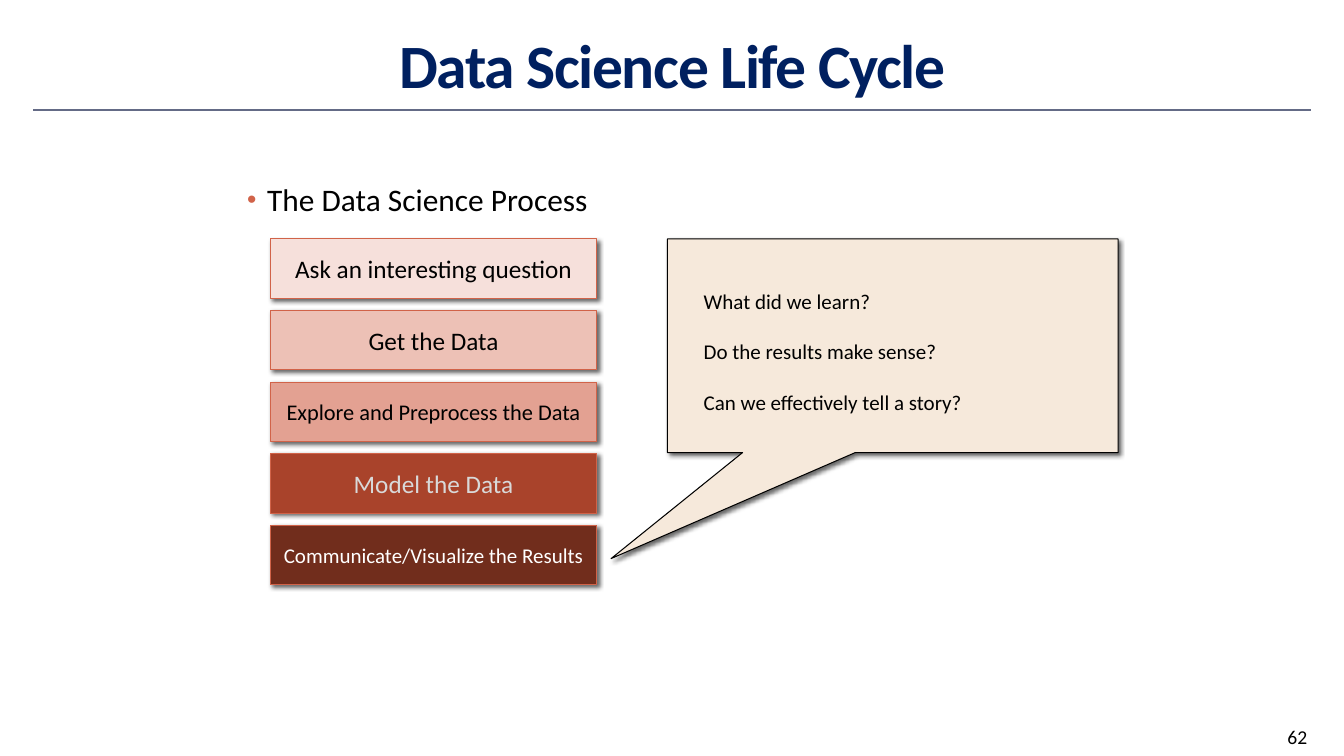
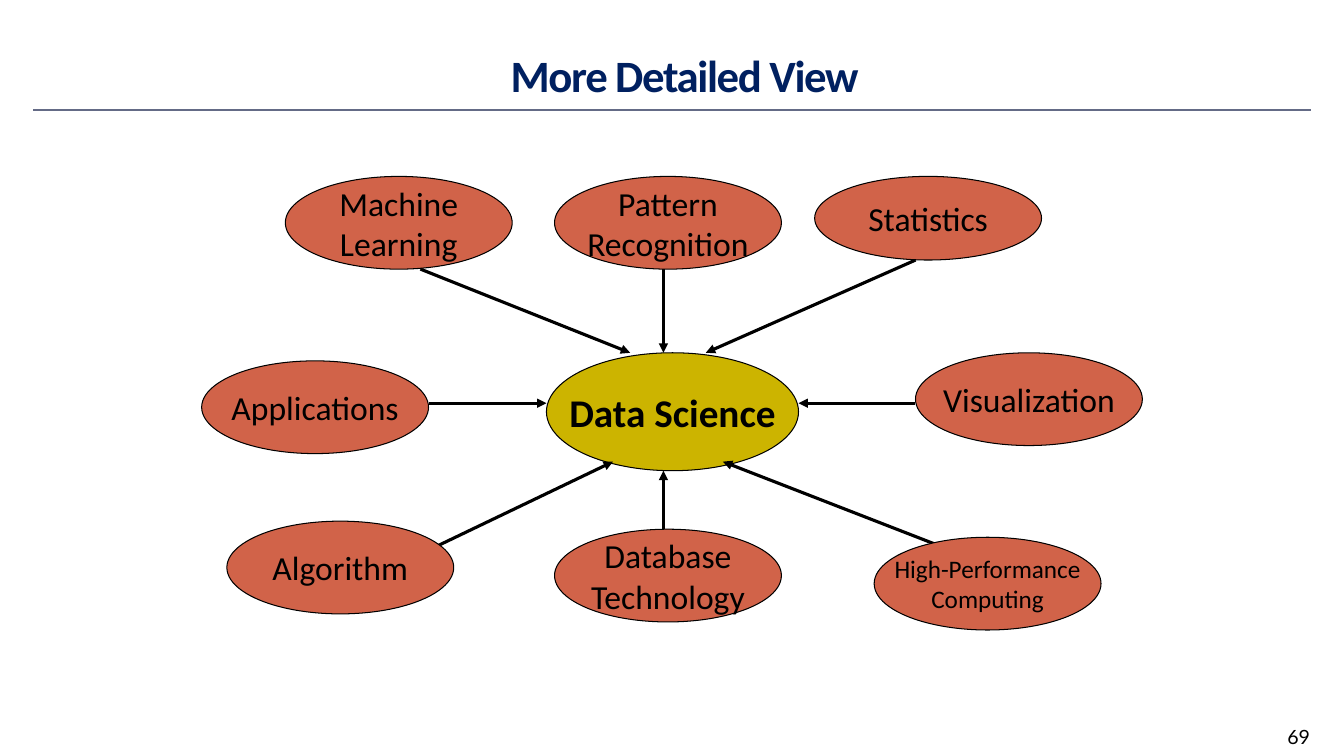
from lxml import etree
from pptx import Presentation
from pptx.dml.color import RGBColor
from pptx.enum import shapes, text
from pptx.oxml import parse_xml
from pptx.oxml.ns import nsdecls, qn
from pptx.util import Inches, Pt

BLACK = RGBColor(0x00, 0x00, 0x00)
WHITE = RGBColor(0xFF, 0xFF, 0xFF)
LIGHT_GRAY = RGBColor(0xD9, 0xD9, 0xD9)
NAVY = RGBColor(0x00, 0x20, 0x60)
SLATE = RGBColor(0x64, 0x6B, 0x86)
CORAL = RGBColor(0xD1, 0x63, 0x49)
OLIVE = RGBColor(0xCC, 0xB4, 0x00)
CREAM = RGBColor(0xF6, 0xE9, 0xDB)
STEP_FILLS = (
    RGBColor(0xF6, 0xE0, 0xDB),
    RGBColor(0xED, 0xC1, 0xB6),
    RGBColor(0xE3, 0xA1, 0x92),
    RGBColor(0xA9, 0x43, 0x2B),
    RGBColor(0x71, 0x2D, 0x1C),
)

TITLE_AND_BODY, TITLE_ONLY = 1, 5
CENTER, LEFT = text.PP_ALIGN.CENTER, text.PP_ALIGN.LEFT
MIDDLE, TOP = text.MSO_ANCHOR.MIDDLE, text.MSO_ANCHOR.TOP
SHAPE = shapes.MSO_SHAPE


class Deck:
    """Holds the shared style and the slide being built."""

    def __init__(self):
        self.presentation = Presentation()
        self.presentation.slide_width = Inches(13.33)
        self.presentation.slide_height = Inches(7.5)
        self.slide = None

    def add_slide(self, layout, title, title_box, title_size, number, number_font="Calibri"):
        slide_layout = self.presentation.slide_layouts[layout]
        self.slide = self.presentation.slides.add_slide(slide_layout)
        self.line((0.33, 1.09), (13, 1.09), SLATE, 1.5)
        placeholder = self.slide.shapes.title
        self.place(placeholder, title_box)
        self.set_text(placeholder.text_frame, [title], title_size, NAVY, bold=True)
        placeholder.text_frame.paragraphs[0].font._element.set("spc", "-100")
        box = self.slide.shapes.add_textbox(
            Inches(12.67), Inches(7.14), Inches(0.67), Inches(0.36))
        self.set_text(box.text_frame, [number], 14, align=LEFT, anchor=TOP, font=number_font)

    def place(self, shape, box):
        shape.left, shape.top, shape.width, shape.height = map(Inches, box)

    def set_text(self, frame, lines, size, color=BLACK, bold=False, align=CENTER,
                 anchor=MIDDLE, font="Calibri", spacing=None, wrap=True):
        frame.text = "\n".join(lines)
        frame.word_wrap = wrap
        frame.auto_size = text.MSO_AUTO_SIZE.NONE
        frame.vertical_anchor = anchor
        for paragraph in frame.paragraphs:
            paragraph.alignment = align
            paragraph.line_spacing = spacing
            paragraph.font.size = Pt(size)
            paragraph.font.name = font
            paragraph.font.bold = bold
            paragraph.font.color.rgb = color

    def bullet(self, label, box, size):
        body = self.slide.placeholders[1]
        self.place(body, box)
        body.text_frame.text = label
        paragraph = body.text_frame.paragraphs[0]
        paragraph.space_before = Pt(0)
        properties = paragraph._p.get_or_add_pPr()
        properties.set("marL", str(Inches(0.2)))
        properties.set("indent", str(Inches(-0.2)))
        color = etree.SubElement(properties, qn("a:buClr"))
        etree.SubElement(color, qn("a:srgbClr"), val=str(CORAL))
        etree.SubElement(properties, qn("a:buSzPct"), val="85000")
        etree.SubElement(properties, qn("a:buChar"), char="•")
        body.text_frame.auto_size = text.MSO_AUTO_SIZE.NONE
        paragraph.font.size = Pt(size)
        paragraph.font.name = "Calibri"
        paragraph.font.color.rgb = BLACK

    def shape(self, kind, box, fill, outline=BLACK, shadow=False):
        shape = self.slide.shapes.add_shape(kind, *map(Inches, box))
        shape.fill.solid()
        shape.fill.fore_color.rgb = fill
        shape.line.color.rgb = outline
        shape.line.width = Pt(0.75)
        shape.shadow.inherit = False
        if shadow:
            shape._element.spPr.find(qn("a:effectLst")).append(parse_xml(
                f'<a:outerShdw {nsdecls("a")} blurRad="{Pt(3)}" dist="{Pt(2)}" dir="2700000">'
                '<a:srgbClr val="000000"><a:alpha val="60000"/></a:srgbClr></a:outerShdw>'))
        return shape

    def step(self, label, box, fill, size, color):
        shape = self.shape(SHAPE.RECTANGLE, box, fill, CORAL, shadow=True)
        self.set_text(shape.text_frame, [label], size, color, wrap=False)

    def callout(self, lines, box, tip):
        """Draw a callout; tip is the offset from its centre, as shares of its size."""
        shape = self.shape(SHAPE.RECTANGULAR_CALLOUT, box, CREAM, shadow=True)
        shape.adjustments[0], shape.adjustments[1] = tip
        self.set_text(shape.text_frame, lines, 15, align=LEFT, anchor=TOP, spacing=2.0)
        shape.text_frame.margin_left = Inches(0.36)
        shape.text_frame.margin_top = Inches(0.24)

    def ellipse(self, lines, box, fill=CORAL, size=24, bold=False):
        shape = self.shape(SHAPE.OVAL, box, fill)
        self.set_text(shape.text_frame, lines, size, bold=bold, wrap=False)

    def line(self, start, end, color, width):
        connector = self.slide.shapes.add_connector(
            shapes.MSO_CONNECTOR.STRAIGHT, *map(Inches, start + end))
        connector.line.color.rgb = color
        connector.line.width = Pt(width)
        etree.SubElement(connector._element.spPr, qn("a:effectLst"))
        return connector

    def arrow(self, start, end):
        connector = self.line(start, end, BLACK, 2.25)
        outline = connector._element.spPr.find(qn("a:ln"))
        etree.SubElement(outline, qn("a:tailEnd"), type="triangle")


def add_life_cycle(deck):
    deck.add_slide(TITLE_AND_BODY, "Data Science Life Cycle", (0.67, 0.17, 12, 0.92), 44, "62")
    deck.bullet("The Data Science Process", (2.35, 1.74, 3.91, 0.51), 22.4)
    steps = (
        ("Ask an interesting question", 18, BLACK),
        ("Get the Data", 18, BLACK),
        ("Explore and Preprocess the Data", 16, BLACK),
        ("Model the Data", 18, LIGHT_GRAY),
        ("Communicate/Visualize the Results", 15, WHITE),
    )
    for row, ((label, size, color), fill) in enumerate(zip(steps, STEP_FILLS)):
        deck.step(label, (2.68, 2.37 + 0.71 * row, 3.24, 0.59), fill, size, color)
    questions = ("What did we learn?", "Do the results make sense?",
                 "Can we effectively tell a story?")
    deck.callout(questions, (6.62, 2.37, 4.47, 2.12), (-0.625, 0.996))


def add_detailed_view(deck):
    deck.add_slide(TITLE_ONLY, "More Detailed View", (2.08, 0.33, 9.42, 0.83), 32, "69", "Lato")
    deck.ellipse(["Data Science"], (5.42, 3.5, 2.5, 1.17), OLIVE, 28, bold=True)
    arrows = (
        ((4.25, 4), (5.42, 4)),
        ((4.17, 2.67), (6.25, 3.5)),
        ((6.58, 2.67), (6.58, 3.5)),
        ((9.08, 2.58), (7, 3.5)),
        ((9.08, 4), (7.92, 4)),
        ((9.33, 5.42), (7.17, 4.58)),
        ((6.58, 5.58), (6.58, 4.67)),
        ((4.33, 5.42), (6.08, 4.58)),
    )
    for start, end in arrows:
        deck.arrow(start, end)
    fields = (
        (["Machine", "Learning"], 2.83, 1.75, 0.92, 24),
        (["Pattern", "Recognition"], 5.5, 1.75, 0.92, 24),
        (["Statistics"], 8.08, 1.75, 0.83, 24),
        (["Applications"], 2, 3.58, 0.92, 24),
        (["Visualization"], 9.08, 3.5, 0.92, 24),
        (["Algorithm"], 2.25, 5.17, 0.92, 24),
        (["Database", "Technology"], 5.5, 5.25, 0.92, 24),
        (["High-Performance", "Computing"], 8.67, 5.33, 0.92, 18),
    )
    for lines, left, top, height, size in fields:
        deck.ellipse(lines, (left, top, 2.25, height), size=size)


def main():
    deck = Deck()
    add_life_cycle(deck)
    add_detailed_view(deck)
    deck.presentation.save("out.pptx")


if __name__ == "__main__":
    main()
